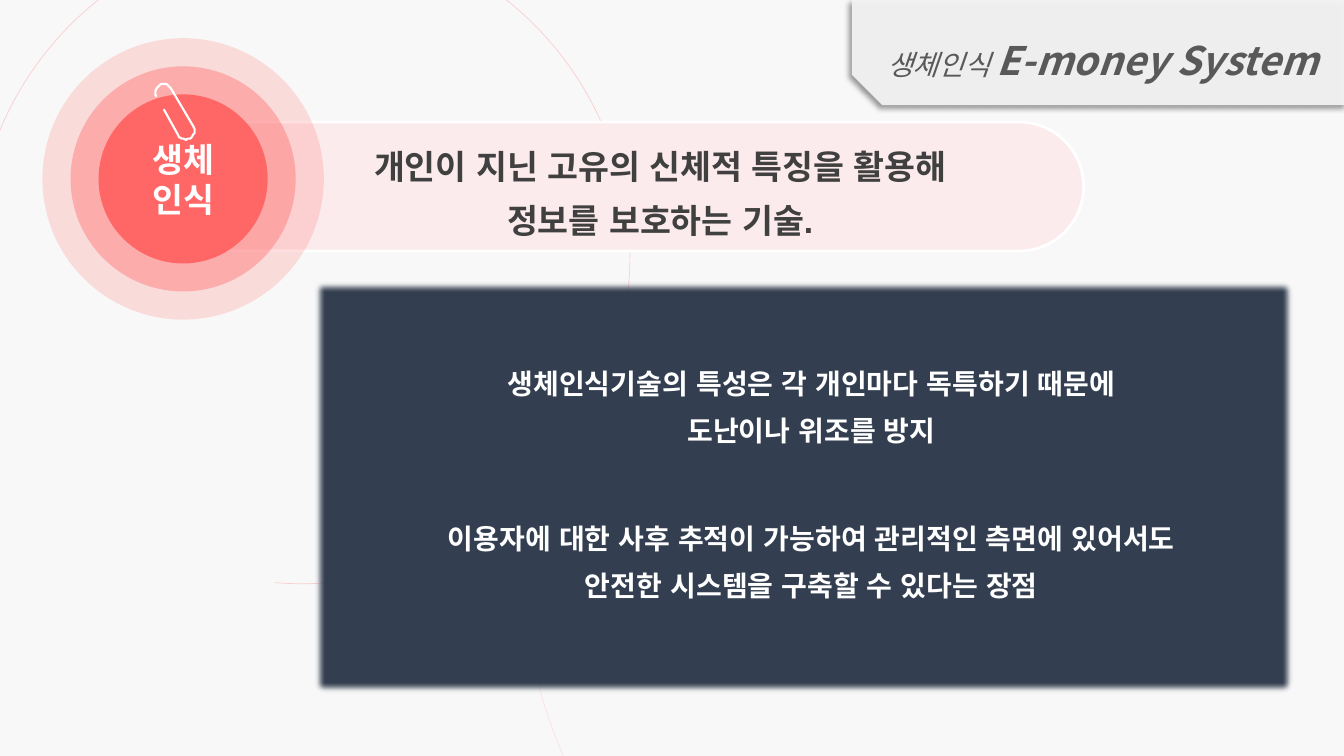
from math import cos, radians, sin
from lxml.etree import SubElement
from pptx import Presentation
from pptx.dml.color import RGBColor
from pptx.enum.shapes import MSO_SHAPE
from pptx.enum.text import MSO_ANCHOR, MSO_AUTO_SIZE, PP_ALIGN
from pptx.oxml.ns import qn
from pptx.util import Pt

PAPER = RGBColor(0xF8, 0xF8, 0xF8)
TAB = RGBColor(0xF2, 0xF2, 0xF2)
ROSE = RGBColor(0xFA, 0xC6, 0xC8)
BLUSH = RGBColor(0xFC, 0xEB, 0xEC)
CORAL = RGBColor(0xFF, 0x67, 0x66)
NAVY = RGBColor(0x33, 0x3F, 0x50)
WHITE = RGBColor(0xFF, 0xFF, 0xFF)
DARK = RGBColor(0x40, 0x40, 0x40)
GREY = RGBColor(0x59, 0x59, 0x59)
KOREAN = "Noto Sans CJK KR"

TITLE = [("생체인식 ", dict(size=Pt(20), bold=False)),
         ("E-money System", dict(size=Pt(28), bold=True))]
BADGE = "생체\v인식"
MEANING = ["개인이 지닌 고유의 신체적 특징을 활용해", "정보를 보호하는 기술."]
MERITS = [["생체인식기술의 특성은 각 개인마다 독특하기 때문에", "도난이나 위조를 방지"],
          ["이용자에 대한 사후 추적이 가능하여 관리적인 측면에 있어서도",
           "안전한 시스템을 구축할 수 있다는 장점"]]

# left, top, diameter, start angle, end angle, opacity
RINGS = [(373, 44, 709, 94.23, 185.99, 42), (-18, -51, 468, 184.79, 94.76, 82)]
CORNER = (698.4, 278.6, 522.7, 107.64, 162.1)
CENTER = (130.8, 127.8)
DISCS = [(100.5, 20), (80.4, 40), (60.4, 100)]  # radius, opacity
# Clip bends: centre x, centre y, radius, first angle
BENDS = [(132.8, 93.2, 6.3, 150), (117, 66.2, 6.2, -30)]
CLIP_END = (116.6, 78.5)


def fade(paint, alpha):
    if alpha < 100:
        color = paint._xPr.find(".//" + qn("a:srgbClr"))
        SubElement(color, qn("a:alpha"), val=str(alpha * 1000))


def style(shape, fill=None, line=None, width=1, alpha=100):
    shape.shadow.inherit = False
    if fill is None:
        shape.fill.background()
    else:
        shape.fill.solid()
        shape.fill.fore_color.rgb = fill
        fade(shape.fill, alpha)
    if line is None:
        shape.line.fill.background()
    else:
        shape.line.color.rgb = line
        shape.line.width = Pt(width)
        if fill is None:
            fade(shape.line.fill, alpha)
    return shape


def draw(parent, kind, box, **look):
    return style(parent.add_shape(kind, *map(Pt, box)), **look)


def arc(parent, left, top, size, start, end, **look):
    shape = draw(parent, MSO_SHAPE.ARC, (left, top, size, size), **look)
    for i, angle in enumerate((start, end)):
        shape.adjustments[i] = angle * 0.6  # degrees in units of 1/60000


def effect(shape, tag, **values):
    holder = shape._element.spPr.find(qn("a:effectLst"))
    return SubElement(holder, qn(tag), {k: str(v) for k, v in values.items()})


def place(shape, box):
    """Move a placeholder and bring it to the front."""
    shape.left, shape.top, shape.width, shape.height = map(Pt, box)
    shape._element.getparent().append(shape._element)


def frame(shape, anchor=MSO_ANCHOR.TOP):
    text = shape.text_frame
    setup = dict(word_wrap=True, auto_size=MSO_AUTO_SIZE.NONE, vertical_anchor=anchor)
    for key, value in setup.items():
        setattr(text, key, value)
    return text


def write(par, text, face="Arial", **look):
    run = par.add_run()
    run.text = text
    for key, value in dict(name=face, **look).items():
        setattr(run.font, key, value)
    SubElement(run.font._element, qn("a:ea"), typeface=face)


def lines(text, rows, gaps=(), **look):
    """Fill a frame with centred lines; gaps maps a row to its space before."""
    for i, row in enumerate(rows):
        par = text.paragraphs[0] if i == 0 else text.add_paragraph()
        props = par._p.get_or_add_pPr()
        props.set("marL", "0")
        props.set("indent", "0")
        SubElement(props, qn("a:buNone"))
        setup = dict(alignment=PP_ALIGN.CENTER, line_spacing=1.07, space_after=Pt(8),
                     space_before=Pt(dict(gaps).get(i, 0)))
        for key, value in setup.items():
            setattr(par, key, value)
        write(par, row, bold=True, **look)


def clip(parent):
    points = [CLIP_END]
    for x, y, radius, first in BENDS:
        for step in range(0, 181, 15):
            turn = radians(first - step)
            points.append((x + radius * cos(turn), y + radius * sin(turn)))
    pen = parent.build_freeform(*points[0], scale=Pt(1))
    pen.add_line_segments(points[1:], close=False)
    style(pen.convert_to_shape(), line=WHITE, width=1.5)


def main():
    deck = Presentation()
    deck.slide_width, deck.slide_height = Pt(960), Pt(540)
    slide = deck.slides.add_slide(deck.slide_layouts[1])
    slide.background.fill.solid()
    slide.background.fill.fore_color.rgb = PAPER
    shapes = slide.shapes
    title, body = slide.placeholders

    tab = draw(shapes, MSO_SHAPE.SNIP_1_RECTANGLE, (608.4, 0, 352.8, 75), fill=TAB, alpha=96)
    tab.rotation = 180
    tab.adjustments[0] = 0.29
    shadow = effect(tab, "a:outerShdw", blurRad=Pt(4), dist=Pt(3), dir=135 * 60000,
                    rotWithShape=0)
    black = SubElement(shadow, qn("a:srgbClr"), val="000000")
    SubElement(black, qn("a:alpha"), val="40000")

    for *ring, alpha in RINGS:
        arc(shapes, *ring, line=ROSE, width=0.5, alpha=alpha)
    panel = draw(shapes, MSO_SHAPE.RECTANGLE, (223.2, 199.4, 702, 297.4), fill=NAVY)
    effect(panel, "a:softEdge", rad=Pt(5))

    banner = shapes.add_group_shape().shapes
    pill = draw(banner, MSO_SHAPE.ROUNDED_RECTANGLE, (125.3, 87.1, 648.7, 92.2),
                fill=BLUSH, line=WHITE, width=2)
    pill.adjustments[0] = 0.5
    note = banner.add_textbox(*map(Pt, (169.2, 98.6, 604.8, 74.9)))
    lines(frame(note), MEANING, size=Pt(24))
    for par in note.text_frame.paragraphs:
        par.runs[0].font.color.rgb = DARK

    badge = shapes.add_group_shape().shapes
    for radius, alpha in DISCS:
        box = (CENTER[0] - radius, CENTER[1] - radius, 2 * radius, 2 * radius)
        disc = draw(badge, MSO_SHAPE.OVAL, box, fill=CORAL, alpha=alpha)
    par = frame(disc, MSO_ANCHOR.MIDDLE).paragraphs[0]
    par.alignment = PP_ALIGN.CENTER
    for i, word in enumerate(BADGE.split("\v")):
        if i:
            par.add_line_break()
        write(par, word, KOREAN, size=Pt(24), bold=True)
    for run in par.runs:
        run.font.color.rgb = WHITE
    clip(badge)

    place(body, (270.7, 256.3, 617.8, 176.4))
    lines(frame(body), sum(MERITS, []), {len(MERITS[0]): 43.5}, size=Pt(20))
    for par in body.text_frame.paragraphs:
        par.runs[0].font.color.rgb = WHITE

    place(title, (626.4, 5.8, 333.4, 51.8))
    text = frame(title)
    text.margin_right = 0
    head = text.paragraphs[0]
    head.alignment, head.line_spacing = PP_ALIGN.LEFT, 1.5
    for words, look in TITLE:
        write(head, words, KOREAN, italic=True, **look)
    for run in head.runs:
        run.font.color.rgb = GREY

    arc(shapes, *CORNER, fill=CORAL, alpha=5)
    deck.save("out.pptx")


if __name__ == "__main__":
    main()
